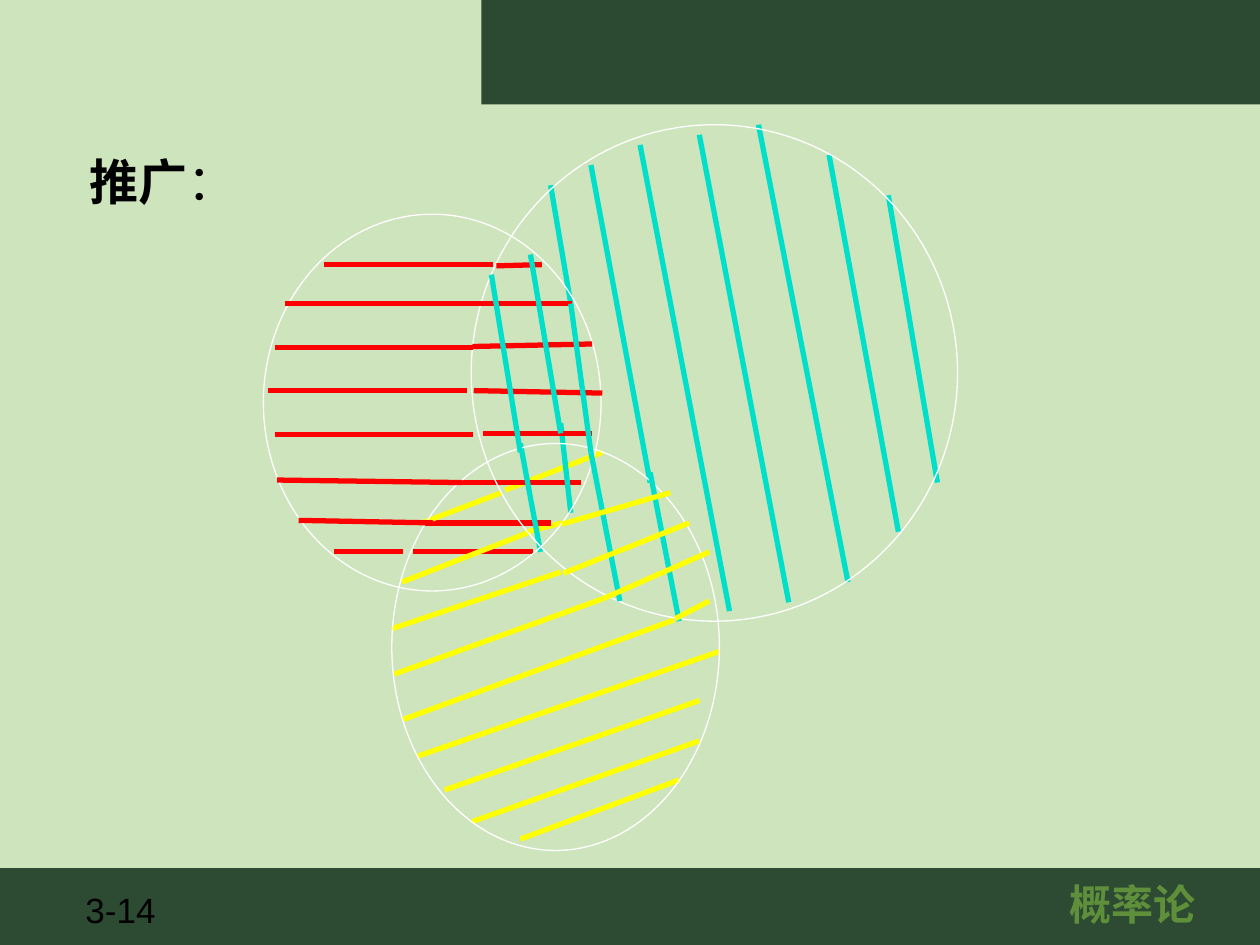
import pptx
import pptx.util
import pptx.dml.color
import pptx.enum.shapes
import pptx.enum.text
import pptx.oxml.ns
from lxml import etree

Inches, Pt = pptx.util.Inches, pptx.util.Pt
RGBColor = pptx.dml.color.RGBColor
PP_ALIGN = pptx.enum.text.PP_ALIGN
MSO_SHAPE = pptx.enum.shapes.MSO_SHAPE

PALE = RGBColor(0xCD, 0xE4, 0xBC)
FOOTER_GREEN = RGBColor(0x2D, 0x4B, 0x33)
HEADER_GREEN = RGBColor(0x2C, 0x4A, 0x32)
LEAF = RGBColor(0x5F, 0x8F, 0x3B)
BLACK = RGBColor(0, 0, 0)
WHITE = RGBColor(255, 255, 255)
RED = RGBColor(255, 0, 0)
YELLOW = RGBColor(255, 255, 0)
TEAL = RGBColor(0, 0xDF, 0xCA)

W, H = 10, 7.5

# Bars: left, top, width, height, colour
BARS = [(0, 6.89, W, H - 6.89, FOOTER_GREEN),
        (3.82, 0, W - 3.82, 0.83, HEADER_GREEN)]

# Three overlapping sets: left, top, width, height
SETS = [(2.09, 1.7, 2.68, 2.99), (3.74, 0.99, 3.86, 3.94), (3.11, 3.52, 2.6, 3.23)]

# Hatching: colour, then the strokes as x1, y1, x2, y2
HATCH_BELOW = [
    (YELLOW, [(4.19, 4.22, 4.46, 4.15), (4.01, 3.89, 4.78, 3.59)]),
    (RED, [(3.67, 3.83, 3.99, 3.83), (3.37, 4.15, 4.15, 4.15),
           (3.28, 4.38, 4.23, 4.38), (3.98, 3.83, 4.61, 3.83),
           (4.13, 4.15, 4.37, 4.15)]),
    (TEAL, [(4.13, 3.52, 4.29, 4.38), (4.45, 3.36, 4.53, 4.07)]),
    (YELLOW, [(4.13, 6.66, 5.39, 6.19), (3.75, 6.52, 5.55, 5.88),
              (3.53, 6.27, 5.55, 5.56), (3.32, 6, 5.71, 5.17),
              (3.2, 5.71, 5.35, 4.92), (3.13, 5.35, 4.79, 4.75),
              (3.11, 4.99, 4.45, 4.54), (3.19, 4.62, 4.21, 4.22),
              (3.35, 4.15, 3.98, 3.91)]),
    (TEAL, [(4.37, 1.47, 4.53, 2.41), (4.69, 1.31, 5.16, 3.83),
            (5.08, 1.15, 5.79, 4.85), (5.55, 1.07, 6.26, 4.78),
            (6.02, 0.99, 6.73, 4.62), (6.58, 1.23, 7.13, 4.22),
            (7.05, 1.55, 7.44, 3.83)]),
]
HATCH_ABOVE = [
    (RED, [(2.57, 2.1, 3.91, 2.1), (2.26, 2.41, 3.83, 2.41),
           (2.18, 2.76, 3.75, 2.76), (2.13, 3.1, 3.71, 3.1),
           (2.18, 3.45, 3.75, 3.45), (2.2, 3.81, 3.67, 3.83),
           (2.37, 4.13, 3.44, 4.15), (2.65, 4.38, 3.2, 4.38),
           (3.94, 2.11, 4.3, 2.1), (3.83, 2.41, 4.54, 2.41),
           (3.75, 2.75, 4.7, 2.73), (3.76, 3.1, 4.78, 3.12),
           (3.83, 3.44, 4.7, 3.44)]),
    (TEAL, [(3.9, 2.18, 4.13, 3.59), (4.21, 2.02, 4.45, 3.44),
            (4.53, 2.41, 4.69, 3.59), (5.16, 3.75, 5.39, 4.93),
            (4.69, 3.59, 4.92, 4.77)]),
    (YELLOW, [(5.36, 4.91, 5.63, 4.77), (4.79, 4.75, 5.63, 4.38),
              (4.47, 4.55, 5.47, 4.15), (4.46, 4.16, 5.32, 3.91)]),
]

# Texts: box, wrap, alignment, colour, runs as (text, font format)
FOOTER_TEXTS = [
    ((0.58, 7, 0.78, 0.43), True, PP_ALIGN.LEFT, BLACK,
     [("3-14", dict(name="Arial", size=Pt(20), bold=False))]),
    ((7.44, 6.92, 3.09, 0.5), True, PP_ALIGN.CENTER, LEAF,
     [("概率论", dict(name="Arial", size=Pt(24), bold=True))]),
]
HEADING = ((0.61, 1.15, 1.36, 0.57), False, PP_ALIGN.LEFT, BLACK,
           [("推广", dict(name="Times New Roman", size=Pt(28), bold=True)),
            ("：", dict(name="Times New Roman", size=Pt(28), bold=False))])


def add_preset(s, kind, box, fill=None, line=None):
    sp = s.shapes.add_shape(kind, *map(Inches, box))
    sp.shadow.inherit = False
    if fill is None:
        sp.fill.background()
    else:
        sp.fill.solid()
        sp.fill.fore_color.rgb = fill
    if line is None:
        sp.line.fill.background()
    else:
        sp.line.color.rgb = line
        sp.line.width = Pt(0.75)


def add_hatching(s, groups):
    for color, strokes in groups:
        for ends in strokes:
            c = s.shapes.add_connector(pptx.enum.shapes.MSO_CONNECTOR.STRAIGHT,
                                       *map(Inches, ends))
            c.line.color.rgb = color
            c.line.width = Pt(3)
            etree.SubElement(c._element.spPr, pptx.oxml.ns.qn("a:effectLst"))


def add_text(s, box, wrap, align, color, runs):
    tf = s.shapes.add_textbox(*map(Inches, box)).text_frame
    tf.word_wrap = wrap
    p = tf.paragraphs[0]
    p.alignment = align
    for text, fmt in runs:
        r = p.add_run()
        r.text = text
        r.font.color.rgb = color
        for key, value in fmt.items():
            setattr(r.font, key, value)


def main():
    prs = pptx.Presentation()
    prs.slide_width, prs.slide_height = Inches(W), Inches(H)
    s = prs.slides.add_slide(prs.slide_layouts[6])
    s.background.fill.solid()
    s.background.fill.fore_color.rgb = PALE

    # Frame of the slide
    for *box, color in BARS:
        add_preset(s, MSO_SHAPE.RECTANGLE, box, fill=color)
    for item in FOOTER_TEXTS:
        add_text(s, *item)

    # Venn diagram
    add_hatching(s, HATCH_BELOW)
    for box in SETS:
        add_preset(s, MSO_SHAPE.OVAL, box, line=WHITE)
    add_hatching(s, HATCH_ABOVE)

    # Heading
    add_text(s, *HEADING)
    prs.save("out.pptx")


if __name__ == "__main__":
    main()
